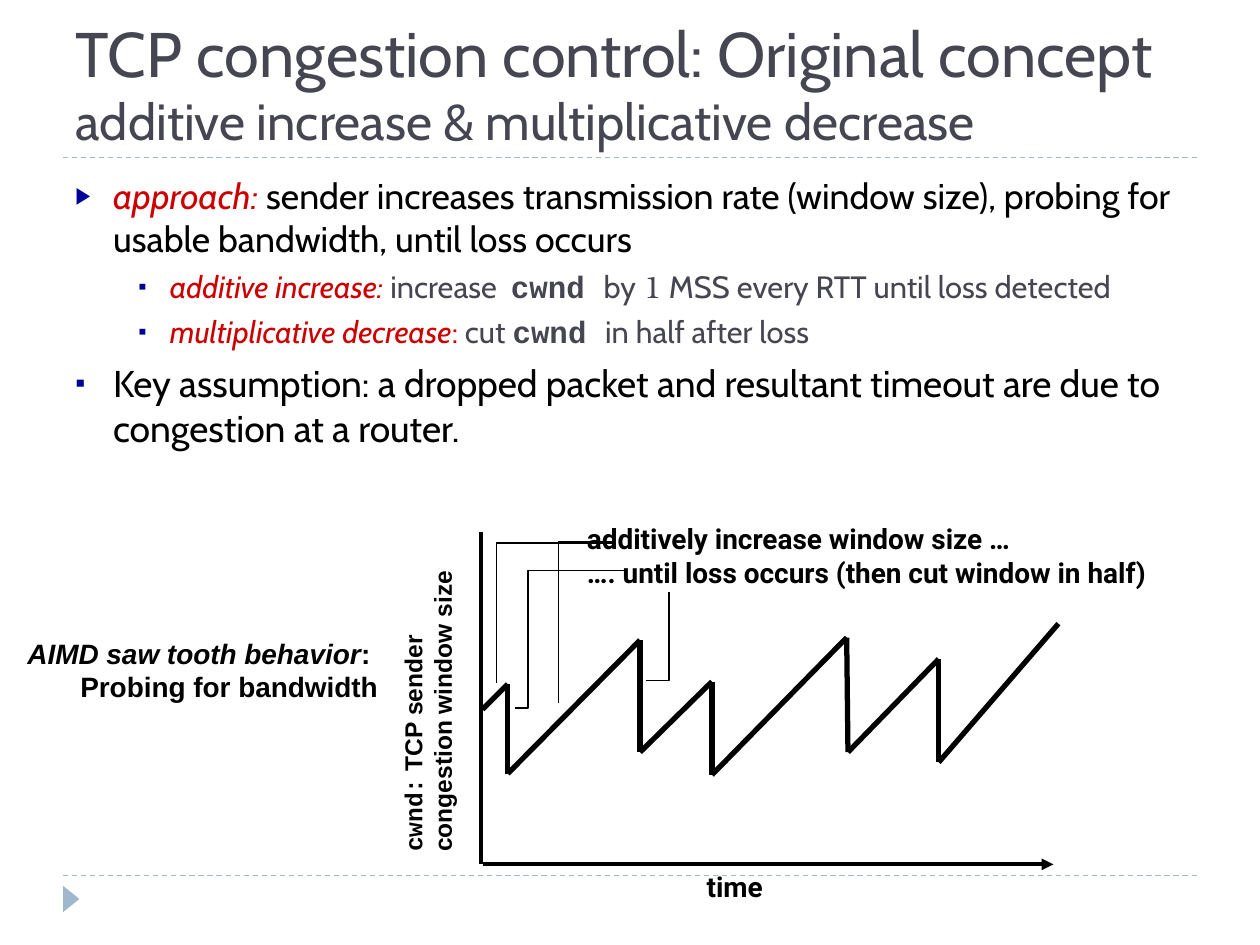
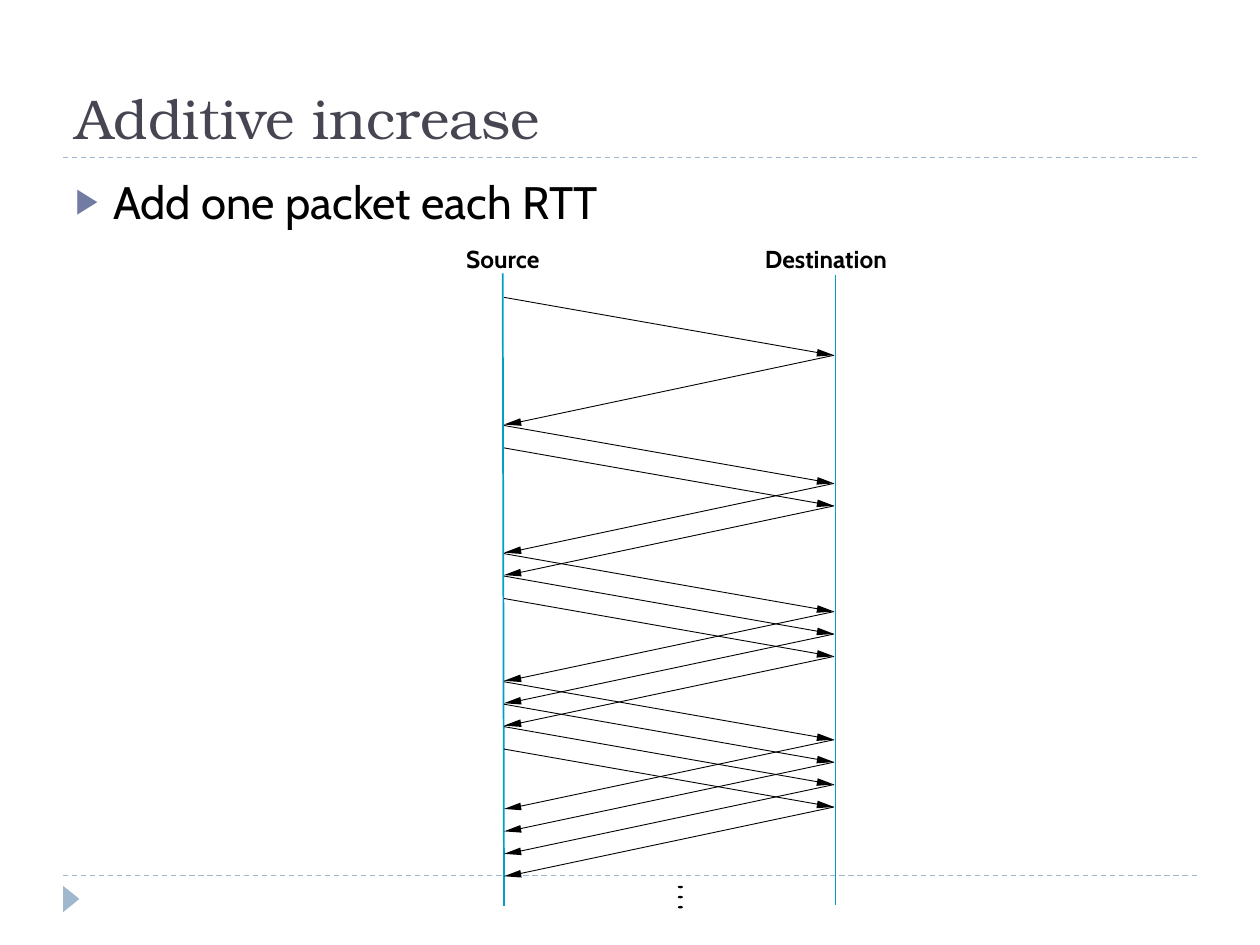
from dataclasses import dataclass

from lxml.etree import SubElement
from pptx import Presentation
from pptx.dml.color import RGBColor
from pptx.enum.dml import MSO_LINE
from pptx.enum.shapes import MSO_CONNECTOR, MSO_SHAPE
from pptx.enum.text import MSO_ANCHOR, MSO_AUTO_SIZE, PP_ALIGN
from pptx.oxml.ns import qn
from pptx.util import Inches, Pt


@dataclass(frozen=True)
class Theme:
    title: str = "464653"
    ink: str = "000000"
    accent: str = "CC0000"
    bullet: str = "000099"
    bullet_soft: str = "727CA3"
    band: str = "9FB8CD"
    timeline: str = "00A0C6"
    body_font: str = "Cabin"
    serif_font: str = "TeX Gyre Bonum"
    code_font: str = "Courier New"
    label_font: str = "Arial"
    note_font: str = "Roboto"
    title_size: float = 36
    subtitle_size: float = 29
    serif_title_size: float = 32
    lead_size: float = 26
    point_size: float = 20.4
    key_size: float = 21.3
    detail_size: float = 17.6
    note_size: float = 16
    label_size: float = 14


THEME = Theme()


def add_bullet(para, char, color, percent, left, hang):
    """Give a paragraph a hanging bullet; lengths in inches."""
    props = para._p.get_or_add_pPr()
    props.set("marL", str(Inches(left)))
    props.set("indent", str(-Inches(hang)))
    SubElement(SubElement(props, qn("a:buClr")), qn("a:srgbClr"), val=color)
    SubElement(props, qn("a:buSzPct"), val=str(percent * 1000))
    SubElement(props, qn("a:buFont"), typeface=THEME.label_font)
    SubElement(props, qn("a:buChar"), char=char)


def write_text(para, text, font=THEME.body_font, size=THEME.label_size,
               color=THEME.ink, bold=False, italic=False):
    """Add one formatted span to a paragraph."""
    span = para.add_run()
    span.text = text
    span.font.name = font
    span.font.size = Pt(size)
    span.font.bold = bold
    span.font.italic = italic
    span.font.color.rgb = RGBColor.from_string(color)


class SlideBuilder:
    def __init__(self, theme):
        self.theme = theme
        self.deck = Presentation()
        self.deck.slide_width, self.deck.slide_height = Inches(10), Inches(7.5)
        self.page = None

    def new_page(self):
        """Start a page with its bands and marker; return the title paragraph."""
        self.page = self.deck.slides.add_slide(self.deck.slide_layouts[5])
        for y in (6.95, 1.25):
            self.line((0.5, y), (9.5, y), self.theme.band, 0.75, dashed=True)
        self.shape(MSO_SHAPE.ISOSCELES_TRIANGLE, 0.46, 7.07, 0.21, 0.13,
                   self.theme.band, rotation=90)
        title = self.page.shapes.title
        title.left, title.top = Inches(0.5), Inches(0.17)
        title.width, title.height = Inches(9), Inches(1.08)
        frame = title.text_frame
        frame.auto_size = MSO_AUTO_SIZE.NONE
        frame.vertical_anchor = MSO_ANCHOR.BOTTOM
        frame.paragraphs[0].alignment = PP_ALIGN.LEFT
        return frame.paragraphs[0]

    def line(self, start, end, color=THEME.ink, width=0.5, dashed=False,
             arrow=False):
        line = self.page.shapes.add_connector(
            MSO_CONNECTOR.STRAIGHT, *map(Inches, (*start, *end)))
        line.line.color.rgb = RGBColor.from_string(color)
        line.line.width = Pt(width)
        if dashed:
            line.line.dash_style = MSO_LINE.DASH
        if arrow:
            SubElement(line.line._get_or_add_ln(), qn("a:tailEnd"), type="triangle")
        SubElement(line._element.spPr, qn("a:effectLst"))

    def shape(self, kind, left, top, width, height, fill, rotation=0):
        shape = self.page.shapes.add_shape(
            kind, *map(Inches, (left, top, width, height)))
        shape.rotation = rotation
        shape.shadow.inherit = False
        shape.fill.solid()
        shape.fill.fore_color.rgb = RGBColor.from_string(fill)
        shape.line.fill.background()

    def outline(self, points, filled=False):
        """Draw a filled polygon or an open thin path."""
        points = [(Inches(x), Inches(y)) for x, y in points]
        builder = self.page.shapes.build_freeform(*points[0])
        builder.add_line_segments(points[1:], close=filled)
        shape = builder.convert_to_shape()
        shape.shadow.inherit = False
        ink = RGBColor.from_string(self.theme.ink)
        if filled:
            shape.fill.solid()
            shape.fill.fore_color.rgb = ink
            shape.line.fill.background()
        else:
            shape.fill.background()
            shape.line.color.rgb = ink
            shape.line.width = Pt(0.75)

    def text_box(self, left, top, width, height, paras, wrap=True,
                 align=PP_ALIGN.LEFT, inset=None, rotation=0):
        """Each para is (spans, space before, bullet); a span is (text, format)."""
        box = self.page.shapes.add_textbox(
            *map(Inches, (left, top, width, height)))
        box.rotation = rotation
        frame = box.text_frame
        frame.word_wrap = wrap
        if inset is not None:
            frame.margin_left = frame.margin_right = Inches(inset)
            frame.margin_top = frame.margin_bottom = Inches(inset)
        for index, (spans, before, bullet) in enumerate(paras):
            para = frame.add_paragraph() if index else frame.paragraphs[0]
            para.alignment = align
            para.space_before = Pt(before)
            if bullet:
                add_bullet(para, **bullet)
            for text, style in spans:
                write_text(para, text, **style)

    def label(self, left, top, width, height, *rows, **box_format):
        """A text box of plain rows, each a list of spans."""
        self.text_box(left, top, width, height,
                      [(row, 0, None) for row in rows], **box_format)


def build_concept(slides):
    theme = slides.theme
    title = slides.new_page()
    write_text(title, "TCP congestion control: Original concept",
               size=theme.title_size, color=theme.title)
    title.add_line_break()
    write_text(title, "additive increase & multiplicative decrease",
               size=theme.subtitle_size, color=theme.title)

    # Bullet list
    point = dict(size=theme.point_size)
    stress = dict(color=theme.accent, italic=True)
    detail = dict(size=theme.detail_size, color=theme.title)
    detail_stress = {**detail, **stress}
    code = {**detail, "font": theme.code_font, "bold": True}
    square = dict(char="▪", color=theme.bullet, percent=76)
    outer = dict(left=0.3, hang=0.3)
    inner = dict(left=0.75, hang=0.25)
    slides.text_box(0.5, 1.33, 9, 2.67, [
        ([("approach: ", {**point, **stress}),
          ("sender increases transmission rate (window size), probing for "
           "usable bandwidth, until loss occurs", point)],
         5.5, dict(char="▶", color=theme.bullet, percent=65, **outer)),
        ([("additive increase:", detail_stress),
          (" increase  ", detail), ("cwnd ", code), ("by ", detail),
          ("1", {**detail, "font": theme.serif_font}),
          (" MSS every RTT until loss detected", detail)],
         4.8, {**square, **inner}),
        ([("multiplicative decrease", detail_stress),
          (":", {**detail, "color": theme.accent}),
          (" cut ", detail), ("cwnd ", code), ("in half after loss", detail)],
         4.8, {**square, **inner}),
        ([("Key assumption: a dropped packet and resultant timeout are due to "
           "congestion at a router.", dict(size=theme.key_size))],
         5.8, {**square, **outer}),
    ])

    # Axis title and caption
    axis = dict(font=theme.label_font, bold=True)
    slides.label(2.18, 5.36, 2.43, 0.57,
                 [("cwnd:", {**axis, "font": theme.code_font}),
                  (" TCP sender", axis)],
                 [("congestion window size", axis)],
                 wrap=False, rotation=270)
    caption = {**axis, "size": theme.note_size}
    slides.label(0, 5, 3.1, 0.64,
                 [("AIMD saw tooth behavior", {**caption, "italic": True}),
                  (": ", caption)],
                 [("Probing for bandwidth", caption)], align=PP_ALIGN.RIGHT)

    # Axes and saw tooth
    slides.line((3.83, 6.86), (8.36, 6.86), width=2.25, arrow=True)
    slides.line((3.82, 4.22), (3.82, 6.86), width=2.25)
    teeth = [(3.83, 5.63), (4.03, 5.43), (4.03, 6.14), (5.08, 5.08),
             (5.08, 5.97), (5.65, 5.41), (5.65, 6.15), (6.72, 5.06),
             (6.73, 5.97), (7.45, 5.23), (7.45, 6.05), (8.4, 4.95)]
    for start, end in zip(teeth, teeth[1:]):
        slides.line(start, end, width=3)

    # Notes and their leader lines
    note = dict(font=theme.note_font, size=theme.note_size, bold=True)
    slides.label(4.56, 4.09, 5.12, 0.64,
                 [("additively increase window size …", note)],
                 [("…. until loss occurs (then cut window in half)", note)],
                 wrap=False)
    for leader in (
            [(4.88, 4.31), (3.94, 4.31), (3.94, 5.42)],
            [(4.97, 4.53), (4.19, 4.53), (4.19, 5.62), (4.09, 5.62)],
            [(4.88, 4.3), (4.43, 4.3), (4.43, 5.58)],
            [(5.31, 4.7), (5.31, 5.4), (5.13, 5.4)]):
        slides.outline(leader)
    slides.label(5.51, 6.85, 0.71, 0.37, [("time", note)], wrap=False)


def build_additive_increase(slides):
    theme = slides.theme
    write_text(slides.new_page(), "Additive increase", font=theme.serif_font,
               size=theme.serif_title_size, color=theme.title)
    slides.text_box(0.5, 1.33, 9, 5.4, [
        ([("Add one packet each RTT", dict(size=theme.lead_size))], 6,
         dict(char="▶", color=theme.bullet_soft, percent=76, left=0.3, hang=0.3))])

    # Timelines of the two hosts
    for name, left, width in (("Source", 3.7, 0.66), ("Destination", 6.07, 1.14)):
        slides.label(left, 1.94, width, 0.23, [(name, dict(bold=True))],
                     wrap=False, inset=0)
    slides.line((3.99, 2.17), (4, 7.19), theme.timeline, 1)
    slides.line((6.63, 2.18), (6.63, 7.18), theme.timeline, 1)

    # Each round trip sends one packet more than the last
    source_x, destination_x = 4, 6.62
    first_send, round_trip, packet_gap = 2.36, 1.017, 0.178
    send_fall, reply_fall = 0.46, 0.55

    def message(start, tip, side):
        """Line plus a slim head; side is 1 rightward and -1 leftward."""
        x, y = tip
        slides.line(start, (x - side * 0.12, y - 0.02))
        slides.outline([(x - side * 0.14, y + 0.01), tip,
                        (x - side * 0.13, y - 0.05)], filled=True)

    for trip in range(4):
        for packet in range(trip + 1):
            sent = first_send + trip * round_trip + packet * packet_gap
            received = sent + send_fall
            message((source_x, sent), (destination_x, received), 1)
            message((destination_x, received),
                    (source_x, received + reply_fall), -1)

    # Continuation dots
    for dot in range(3):
        slides.shape(MSO_SHAPE.OVAL, 5.38, 7.03 + dot * 0.08, 0.04, 0.02, theme.ink)


def main():
    slides = SlideBuilder(THEME)
    build_concept(slides)
    build_additive_increase(slides)
    slides.deck.save("out.pptx")


if __name__ == "__main__":
    main()
